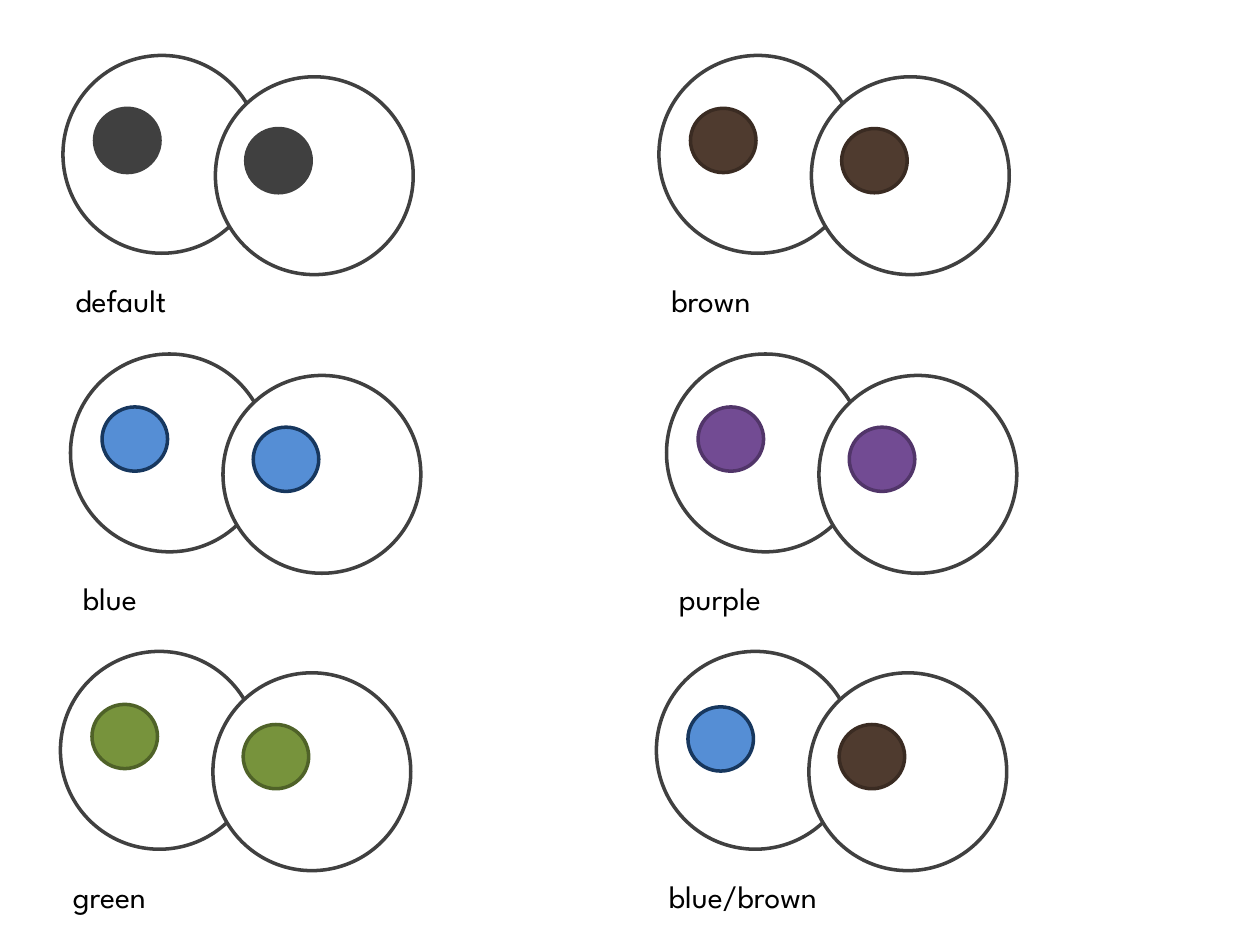
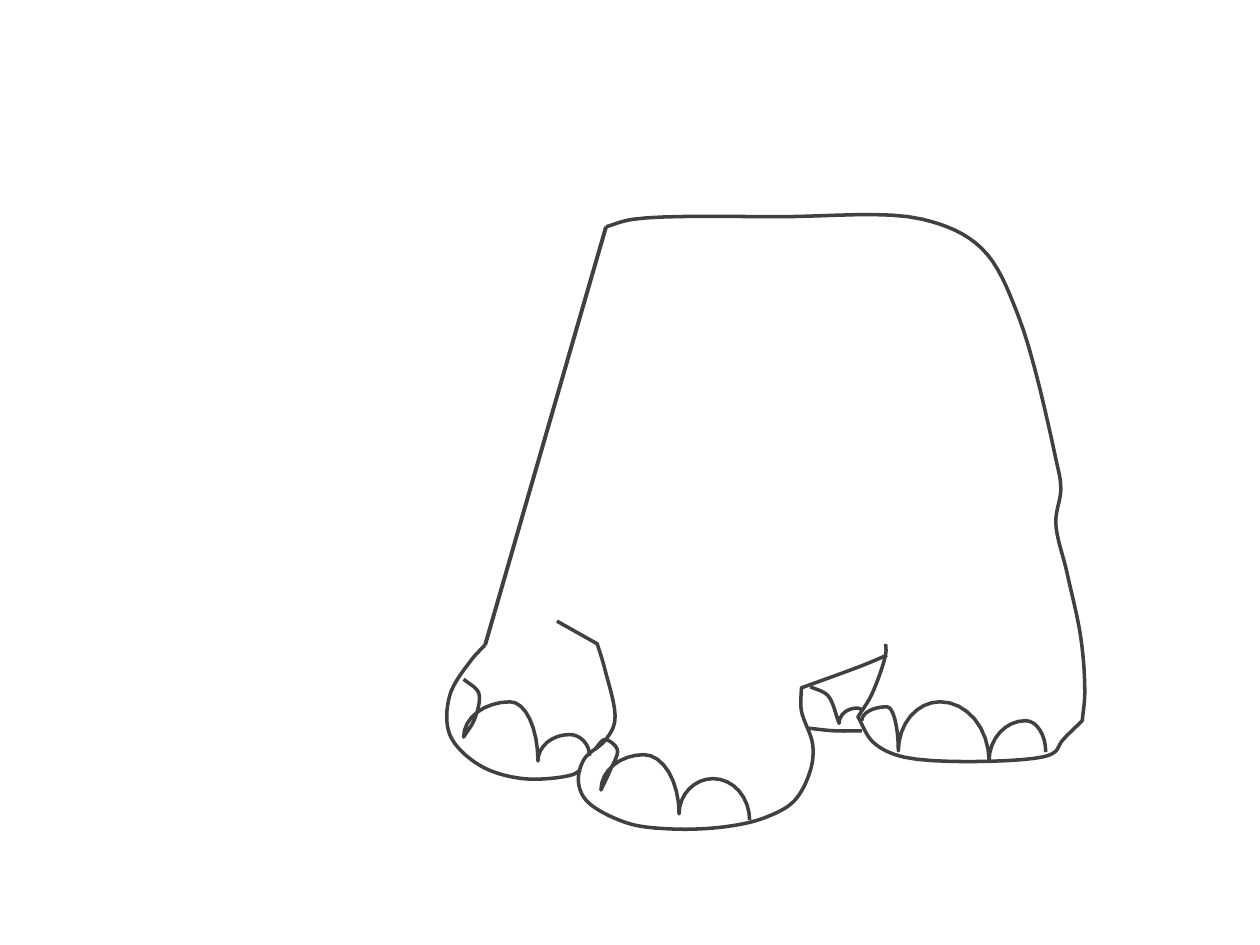
import dataclasses
import itertools
import math

import pptx
import pptx.dml.color
import pptx.enum.shapes
import pptx.enum.text
import pptx.oxml.ns
import pptx.util
from lxml import etree

PX = 9144  # EMU per px, 100 px to the inch
INK = "404040"
WHITE = "FFFFFF"
BLACK = "000000"
FONT = "League Spartan"
CURVE_STEPS = 8  # straight pieces in each curved span

# Iris fill and rim
DARK = (INK, INK)
BROWN = ("4F3B2F", "3A2B22")
BLUE = ("558ED5", "17375E")
PURPLE = ("724B93", "513569")
GREEN = ("77933C", "4F6228")

EYE_SIZE = 157
RIGHT_EYE_OFFSET = (121, 17)
IRIS_SIZE = (52, 51)
LEFT_IRIS_OFFSET = (25, 42)
RIGHT_IRIS_OFFSET = (145, 58)
LABEL_DROP = 174
COLUMN_STEP = 473


@dataclasses.dataclass
class EyePair:
    name: str
    left_iris: tuple
    right_iris: tuple
    left_iris_drop: int = 0
    label_width: int = 126


# Left and top of each row, and its pairs from left to right
EYE_ROWS = [
    (50, 44, [EyePair("default", DARK, DARK), EyePair("brown", BROWN, BROWN)]),
    (56, 281, [EyePair("blue", BLUE, BLUE), EyePair("purple", PURPLE, PURPLE)]),
    (48, 517, [EyePair("green", GREEN, GREEN),
               EyePair("blue/brown", BLUE, BROWN, left_iris_drop=2, label_width=204)]),
]


@dataclasses.dataclass
class Leg:
    """contour: smooth strokes, each going on from the last, with a corner between.
    side_toe: the smooth stroke, seen edge-on, that leads into the toes.
    toes: valley, peak, valley, peak ... along the front of the foot."""

    contour: list
    side_toe: list
    toes: list


CHEST = (481, 180)
FAR_FRONT_KNEE = (385, 512)

HIND_LEG = Leg(
    contour=[
        # back and rump
        [CHEST, (503, 174), (620, 172), (732, 174), (779, 197), (808, 250), (838, 364),
         (842, 388), (838, 415), (847, 455), (858, 507), (861, 550), (859, 572)],
        # sole
        [(843, 588), (837, 597), (820, 602), (718, 601), (693, 589), (681, 569)],
        # front of the leg
        [(692, 551), (703, 519), (703, 511)],
    ],
    side_toe=[(684, 572)],
    toes=[(684, 572), (704, 561), (713, 596), (746, 557), (785, 604), (814, 572), (830, 597)],
)
FRONT_LEG = Leg(
    contour=[
        # belly
        [(704, 520), (685, 528), (636, 546)],
        # heel, sole and front of the leg
        [(636, 564), (645, 591), (643, 612), (630, 636), (607, 649), (577, 656), (534, 658),
         (497, 653), (465, 635), (459, 619), (464, 602), (480, 588), (488, 572), (480, 531),
         (474, 511)],
        # knee
        [(442, 493)],
    ],
    side_toe=[(472, 595), (480, 587), (490, 595), (484, 612), (477, 627)],
    toes=[(477, 627), (511, 599), (539, 646), (566, 618), (595, 651)],
)
FAR_FRONT_LEG = Leg(
    contour=[[FAR_FRONT_KNEE, (374, 524), (357, 552), (357, 583), (380, 607), (415, 618),
              (454, 615), (461, 611)]],
    side_toe=[(368, 539), (380, 550), (377, 570), (368, 585)],
    toes=[(368, 585), (405, 557), (427, 604), (452, 583), (468, 600)],
)
FAR_HIND_LEG = Leg(
    contour=[[(642, 578), (662, 580), (684, 580)]],
    side_toe=[(643, 545), (657, 552), (666, 574)],
    toes=[(666, 574), (680, 562), (684, 564)],
)
LEGS = [HIND_LEG, FRONT_LEG, FAR_FRONT_LEG, FAR_HIND_LEG]


def color(hex_string):
    return pptx.dml.color.RGBColor.from_string(hex_string)


def shift(point, offset):
    return point[0] + offset[0], point[1] + offset[1]


def blend(a, b, start, end, t):
    """Return the point on the line a-b for t, with a at start and b at end."""
    share = (t - start) / (end - start)
    return tuple(u + (v - u) * share for u, v in zip(a, b))


def smooth(points):
    """Return a centripetal Catmull-Rom curve through the points."""
    if len(points) < 3:
        return list(points)
    before = blend(points[0], points[1], 0, 1, -1)
    after = blend(points[-1], points[-2], 0, 1, -1)
    padded = [before, *points, after]
    gaps = [math.sqrt(math.dist(a, b)) for a, b in zip(padded, padded[1:])]
    knots = list(itertools.accumulate(gaps, initial=0))
    curve = [points[0]]
    for i in range(len(points) - 1):
        near, k = padded[i:i + 4], knots[i:i + 4]
        for step in range(1, CURVE_STEPS + 1):
            t = k[1] + (k[2] - k[1]) * step / CURVE_STEPS
            lines = [blend(near[j], near[j + 1], k[j], k[j + 1], t) for j in range(3)]
            bends = [blend(lines[j], lines[j + 1], k[j], k[j + 2], t) for j in range(2)]
            curve.append(blend(*bends, k[1], k[2], t))
    return curve


def join_strokes(strokes):
    """Smooth each stroke on its own, starting it where the last one ended."""
    trail = smooth(strokes[0])
    for stroke in strokes[1:]:
        trail += smooth([trail[-1], *stroke])[1:]
    return trail


def toe_arches(points):
    """Link valleys and peaks by quarter ellipses, upright at valleys and level at peaks."""
    trail = [points[0]]
    for i, ((x1, y1), (x2, y2)) in enumerate(zip(points, points[1:])):
        for step in range(1, CURVE_STEPS + 1):
            angle = math.pi / 2 * step / CURVE_STEPS
            rise, run = math.sin(angle), 1 - math.cos(angle)
            if i % 2:
                rise, run = run, rise
            trail.append((x1 + (x2 - x1) * run, y1 + (y2 - y1) * rise))
    return trail


class Sketch:
    """Holds the presentation, the current slide and the shared drawing style."""

    def __init__(self, width, height):
        self.presentation = pptx.Presentation()
        self.presentation.slide_width = width * PX
        self.presentation.slide_height = height * PX
        self.slide = None

    def new_slide(self):
        self.slide = self.presentation.slides.add_slide(self.presentation.slide_layouts[6])

    def group(self):
        return self.slide.shapes.add_group_shape()

    def set_line(self, shape, line_color=INK, weight=2):
        shape.line.color.rgb = color(line_color)
        shape.line.width = pptx.util.Pt(weight)

    def ellipse(self, group, position, size, fill, line_color):
        shape = group.shapes.add_shape(
            pptx.enum.shapes.MSO_SHAPE.OVAL, *(value * PX for value in position + size))
        shape.shadow.inherit = False
        shape.fill.solid()
        shape.fill.fore_color.rgb = color(fill)
        self.set_line(shape, line_color)

    def outline(self, group, points):
        """Draw an open, unfilled line through the points."""
        start, *others = [(round(x * PX), round(y * PX)) for x, y in points]
        builder = group.shapes.build_freeform(*start)
        builder.add_line_segments(others, close=False)
        shape = builder.convert_to_shape()
        shape.shadow.inherit = False
        shape.fill.background()
        self.set_line(shape)

    def straight_line(self, group, start, end, weight):
        connector = group.shapes.add_connector(
            pptx.enum.shapes.MSO_CONNECTOR.STRAIGHT, *(value * PX for value in start + end))
        self.set_line(connector, weight=weight)
        etree.SubElement(connector._element.spPr, pptx.oxml.ns.qn("a:effectLst"))

    def label(self, text, position, width):
        left, top = position
        box = self.slide.shapes.add_textbox(left * PX, top * PX, width * PX, 40 * PX)
        box.text_frame.word_wrap = True
        box.text_frame.auto_size = pptx.enum.text.MSO_AUTO_SIZE.SHAPE_TO_FIT_TEXT
        paragraph = box.text_frame.paragraphs[0]
        paragraph.text = text
        paragraph.font.name = FONT
        paragraph.font.size = pptx.util.Pt(18)
        paragraph.font.color.rgb = color(BLACK)

    def eye_pair(self, pair, corner):
        """Draw two overlapping eyeballs, an iris on each, and the label below."""
        group = self.group()
        for eyeball in (corner, shift(corner, RIGHT_EYE_OFFSET)):
            self.ellipse(group, eyeball, (EYE_SIZE, EYE_SIZE), WHITE, INK)
        left_iris = shift(shift(corner, LEFT_IRIS_OFFSET), (0, pair.left_iris_drop))
        self.ellipse(group, left_iris, IRIS_SIZE, *pair.left_iris)
        self.ellipse(group, shift(corner, RIGHT_IRIS_OFFSET), IRIS_SIZE, *pair.right_iris)
        self.label(pair.name, shift(corner, (0, LABEL_DROP)), pair.label_width)

    def leg(self, group, leg):
        self.outline(group, join_strokes(leg.contour))
        self.outline(group, smooth(leg.side_toe) + toe_arches(leg.toes)[1:])


def draw_eye_colors(sketch):
    sketch.new_slide()
    for left, top, pairs in EYE_ROWS:
        for column, pair in enumerate(pairs):
            sketch.eye_pair(pair, (left + column * COLUMN_STEP, top))


def draw_legs(sketch):
    sketch.new_slide()
    group = sketch.group()
    for leg in LEGS:
        sketch.leg(group, leg)
    sketch.straight_line(group, CHEST, FAR_FRONT_KNEE, 2.25)


def main():
    sketch = Sketch(1000, 750)
    draw_eye_colors(sketch)
    draw_legs(sketch)
    sketch.presentation.save("out.pptx")


if __name__ == "__main__":
    main()
